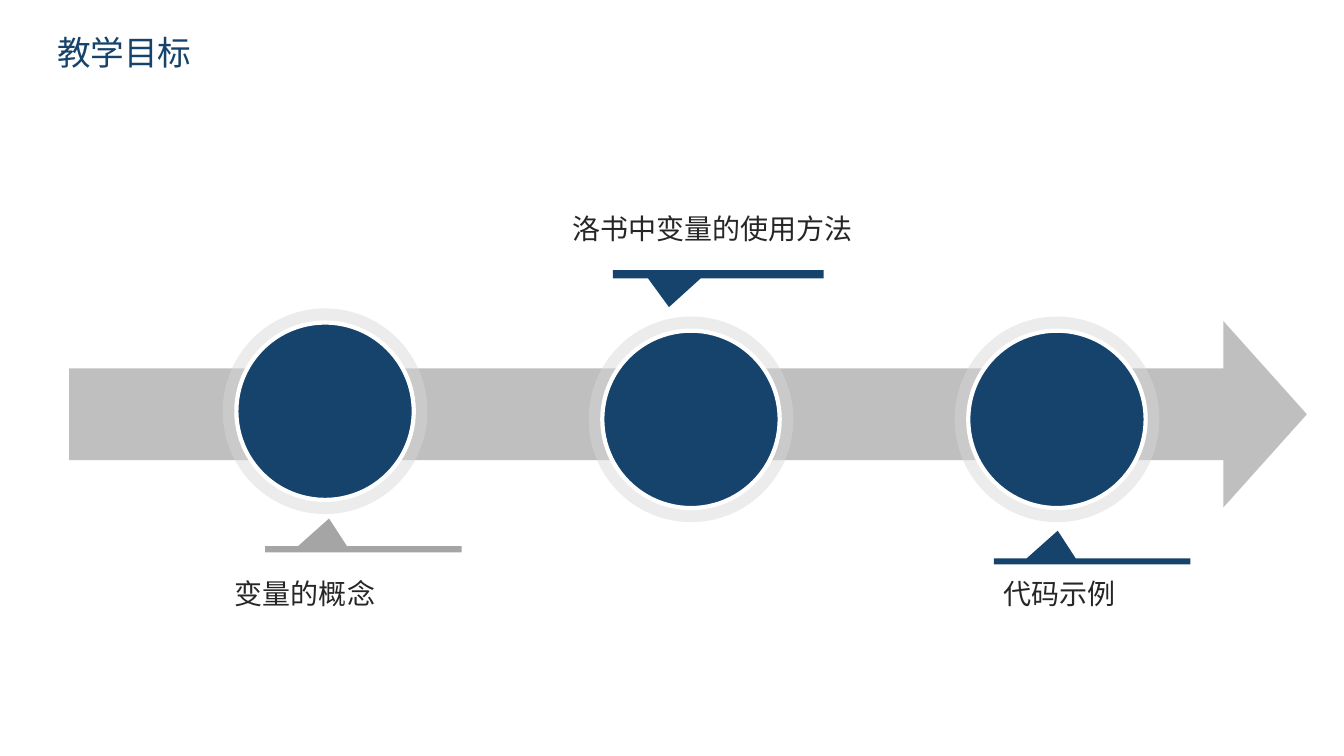
from lxml.etree import SubElement
from pptx import Presentation
from pptx.dml.color import RGBColor
from pptx.enum.shapes import MSO_SHAPE as Preset
from pptx.enum.text import MSO_AUTO_SIZE as AutoSize
from pptx.oxml.ns import qn
from pptx.util import Pt

COLORS = {
    "navy": "15436B", "arrow": "BFBFBF", "halo": "D8D8D8",
    "gray": "A5A5A5", "text": "262626", "white": "FFFFFF",
}
FONT = "Noto Sans CJK SC"
LABEL_FORMAT = {
    "margin_left": Pt(8.64), "margin_right": Pt(8.64),
    "margin_top": Pt(4.32), "margin_bottom": Pt(4.32), "word_wrap": True,
}
TITLE_FORMAT = {"word_wrap": False}

HALO_LEFT, HALO_STEP, HALO_SIZE = 159.1, 261.4, (146.2, 146.9)
HALO_TOPS = (220.3, 226.1, 226.1)
CALLOUTS = (
    ((189.4, 390.2, 140.4, 4.3), (-0.175, -5.095), "gray"),
    ((437.8, 193, 150.5, 5.8), (-0.234, 4.033), "navy"),
    ((709.9, 398.9, 140.4, 4.3), (-0.175, -5.095), "navy"),
)
LABELS = (
    ("变量的概念", (159.1, 402.5, 200.9, 35.3)),
    ("洛书中变量的使用方法", (400.3, 141.8, 245.5, 35.3)),
    ("代码示例", (707.8, 402.5, 140.4, 35.3)),
)


def color(name):
    """Return the palette colour with this name."""
    return RGBColor.from_string(COLORS[name])


def add_filled(shapes, preset, box, fill, adjustments=()):
    """Add a flat preset shape without outline."""
    shape = shapes.add_shape(preset, *map(Pt, box))
    shape.shadow.inherit = False
    shape.fill.solid()
    shape.fill.fore_color.rgb = color(fill)
    shape.line.fill.background()
    for index, value in enumerate(adjustments):
        shape.adjustments[index] = value
    return shape


def add_text(slide, text, box, size, ink, frame_format, spacing=None):
    """Add one line of text in a box that grows with it."""
    frame = slide.shapes.add_textbox(*map(Pt, box)).text_frame
    for name, value in frame_format.items():
        setattr(frame, name, value)
    frame.auto_size = AutoSize.SHAPE_TO_FIT_TEXT
    paragraph = frame.paragraphs[0]
    paragraph.line_spacing = spacing
    run = paragraph.add_run()
    run.text = text
    for name, value in {"size": Pt(size), "name": FONT}.items():
        setattr(run.font, name, value)
    run.font.color.rgb = color(ink)
    SubElement(run.font._element, qn("a:ea"), typeface=FONT)


def add_arrow(slide, left, top, width, height):
    """Fill the box with an arrow pointing right."""
    turned_box = (left + (width - height) / 2, top + (height - width) / 2, height, width)
    arrow = add_filled(slide.shapes, Preset.DOWN_ARROW, turned_box, "arrow", (0.491, 0.448))
    arrow.rotation = 270


def add_milestone(slide, left, top, width, height):
    """Add a disc with a white rim centred in a translucent halo."""
    group = slide.shapes.add_group_shape()
    halo = add_filled(group.shapes, Preset.OVAL, (left, top, width, height), "halo")
    halo_color = halo.fill._xPr.find(qn("a:solidFill"))[0]
    SubElement(halo_color, qn("a:alpha"), val="48000")
    size = 126.7
    disc_box = (left + (width - size) / 2, top + (height - size) / 2, size, size)
    disc = add_filled(group.shapes, Preset.OVAL, disc_box, "navy")
    disc.line.color.rgb = color("white")
    disc.line.width = Pt(3)


def build_slide(presentation):
    """Build the teaching goals timeline."""
    slide = presentation.slides.add_slide(presentation.slide_layouts[6])
    add_arrow(slide, 49.3, 229.3, 884.2, 133.2)
    for index, top in enumerate(HALO_TOPS):
        add_milestone(slide, HALO_LEFT + index * HALO_STEP, top, *HALO_SIZE)
    for (box, tip, fill), (text, label_box) in zip(CALLOUTS, LABELS):
        add_filled(slide.shapes, Preset.RECTANGULAR_CALLOUT, box, fill, tip)
        add_text(slide, text, label_box, 20, "text", LABEL_FORMAT, 1.2)
    add_text(slide, "教学目标", (33.8, 19.4, 113, 36), 24, "navy", TITLE_FORMAT)


def main():
    """Create and save the presentation."""
    presentation = Presentation()
    presentation.slide_width = Pt(960)
    presentation.slide_height = Pt(540)
    build_slide(presentation)
    presentation.save("out.pptx")


if __name__ == "__main__":
    main()
